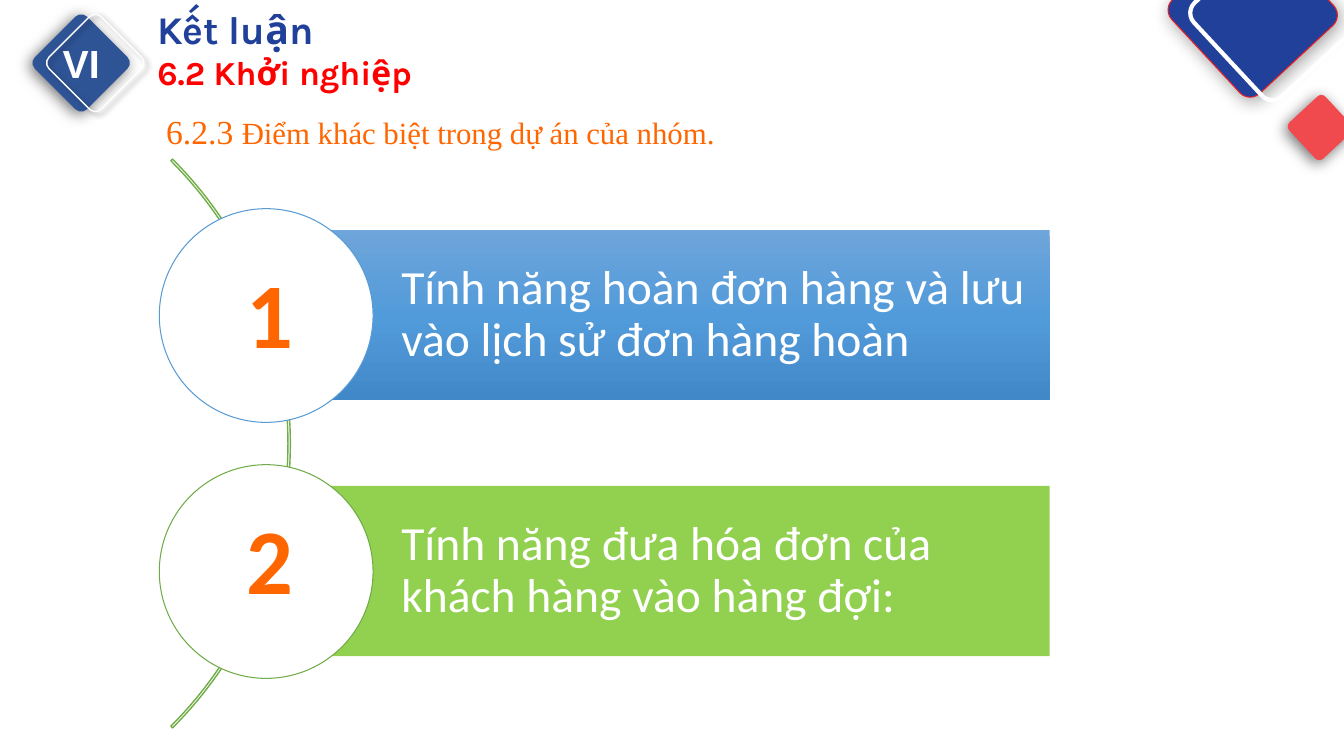
"""Build the slide on what sets the group's project apart."""
from copy import deepcopy
from dataclasses import dataclass

from lxml.etree import SubElement
from pptx import Presentation
from pptx.dml.color import RGBColor
from pptx.enum.shapes import MSO_SHAPE
from pptx.enum.text import MSO_ANCHOR, MSO_AUTO_SIZE, PP_ALIGN
from pptx.oxml.ns import qn
from pptx.util import Inches, Pt


@dataclass(frozen=True)
class Theme:
    """Colours, fonts and type sizes of the slide."""
    navy: str = "21409A"
    badge: str = "2F5496"
    red: str = "FF0000"
    coral: str = "F04A4E"
    outline_red: str = "ED1D24"
    orange: str = "FF6600"
    white: str = "FFFFFF"
    black: str = "000000"
    arc: str = "70AD47"
    blue_ring: str = "599BD5"
    green_ring: str = "6FAB46"
    blues: tuple = ("6EA5DA", "529BDA", "4188C8")
    green: tuple = ("92D050",)
    title_font: str = "Karla"
    badge_font: str = "Arial"
    sub_font: str = "Times New Roman"
    card_font: str = "Calibri"
    title_size: int = 28
    section_size: int = 24
    sub_size: int = 22
    card_size: int = 34
    number_size: int = 66


T = Theme()


def rgb(color):
    """Return a colour object for a hex string."""
    return RGBColor.from_string(color)


def add_run(p, text, font, size, color, bold=False):
    """Add one formatted run to a paragraph."""
    r = p.add_run()
    r.text = text
    r.font.name, r.font.size, r.font.bold = font, Pt(size), bold
    r.font.color.rgb = rgb(color)


def add_text(slide, box, runs, align=PP_ALIGN.LEFT):
    """Add a wrapping text box with one paragraph of runs."""
    tf = slide.shapes.add_textbox(*map(Inches, box)).text_frame
    tf.word_wrap = True
    tf.auto_size = MSO_AUTO_SIZE.SHAPE_TO_FIT_TEXT
    p = tf.paragraphs[0]
    p.alignment = align
    for run in runs:
        add_run(p, *run)


def set_fill(sp, colors):
    """Fill a shape with nothing, one colour or an even vertical gradient."""
    if not colors:
        sp.fill.background()
    elif len(colors) == 1:
        sp.fill.solid()
        sp.fill.fore_color.rgb = rgb(colors[0])
    else:
        sp.fill.gradient()
        sp.fill.gradient_angle = 270
        stops = sp._element.spPr.find(".//" + qn("a:gsLst"))
        while len(stops) < len(colors):
            stops.append(deepcopy(stops[0]))
        for i, (stop, color) in enumerate(zip(sp.fill.gradient_stops, colors)):
            stop.position = i / (len(colors) - 1)
            stop.color.rgb = rgb(color)


def add_shape(slide, kind, box, colors=(), line=None, width=0.75):
    """Add a flat preset shape."""
    sp = slide.shapes.add_shape(kind, *map(Inches, box))
    sp.shadow.inherit = False
    set_fill(sp, colors)
    if line:
        sp.line.color.rgb = rgb(line)
        sp.line.width = Pt(width)
    else:
        sp.line.fill.background()
    return sp


def add_shadow(sp, alpha, blur, dist, angle):
    """Give a shape a soft outer shadow."""
    effects = sp._element.spPr.find(qn("a:effectLst"))
    shadow = SubElement(effects, qn("a:outerShdw"), blurRad=str(Pt(blur)),
                        dist=str(Pt(dist)), dir=str(angle * 60000),
                        algn="ctr", rotWithShape="0")
    color = SubElement(shadow, qn("a:srgbClr"), val=T.black)
    SubElement(color, qn("a:alpha"), val=str(alpha * 1000))


def add_diamond(slide, left, top, size, angle, colors=(), line=None,
                width=0.75, shadow=None):
    """Add a turned square with rounded corners."""
    sp = add_shape(slide, MSO_SHAPE.ROUNDED_RECTANGLE, (left, top, size, size),
                   colors, line, width)
    sp.adjustments[0] = 0.11
    sp.rotation = angle
    if shadow:
        add_shadow(sp, *shadow)


def add_title(slide):
    """Place the chapter and section names in the title placeholder."""
    title = slide.shapes.title
    title.left, title.top = Inches(1.46), Inches(0)
    title.width, title.height = Inches(7.45), Inches(0.98)
    tf = title.text_frame
    tf.vertical_anchor = MSO_ANCHOR.TOP
    tf.auto_size = MSO_AUTO_SIZE.NONE
    lines = (("Kết luận", T.title_size, T.navy),
             ("6.2 Khởi nghiệp", T.section_size, T.red))
    for i, (text, size, color) in enumerate(lines):
        p = tf.add_paragraph() if i else tf.paragraphs[0]
        p.alignment = PP_ALIGN.LEFT
        p.line_spacing = 1.0
        add_run(p, text, T.title_font, size, color, True)


def add_card(slide, top, text, colors, ring):
    """Add a text bar with a circle over its left end."""
    sp = add_shape(slide, MSO_SHAPE.RECTANGLE, (2.64, top, 7.77, 1.69), colors)
    tf = sp.text_frame
    tf.word_wrap = True
    tf.vertical_anchor = MSO_ANCHOR.MIDDLE
    tf.margin_left = Inches(1.34)
    tf.margin_top = tf.margin_right = tf.margin_bottom = Inches(0.09)
    p = tf.paragraphs[0]
    p.alignment = PP_ALIGN.LEFT
    p.line_spacing = 0.9
    add_run(p, text, T.card_font, T.card_size, T.white)
    add_shape(slide, MSO_SHAPE.OVAL, (1.58, top - 0.21, 2.12, 2.12),
              (T.white,), ring)


def main():
    """Build and save the slide."""
    prs = Presentation()
    prs.slide_width, prs.slide_height = Inches(13.33), Inches(7.5)
    slide = prs.slides.add_slide(prs.slide_layouts[5])
    add_title(slide)

    add_diamond(slide, 11.79, -0.51, 1.27, 47.1, (T.navy,), T.outline_red,
                shadow=(36, 13, 3, 55))
    add_diamond(slide, 12.85, 1.02, 0.49, 47.1, (T.coral,),
                shadow=(54, 11, 3, 135))
    add_diamond(slide, 12.01, -0.48, 1.27, 47.1, line=T.white, width=3)

    add_diamond(slide, 0.44, 0.26, 0.73, 45, (T.badge,),
                shadow=(54, 11, 3, 135))
    add_text(slide, (0.43, 0.34, 0.75, 0.57),
             [("VI", T.badge_font, T.title_size, T.white, True)],
             PP_ALIGN.CENTER)
    add_diamond(slide, 0.58, 0.26, 0.73, 45, line=T.white, width=1,
                shadow=(40, 4, 3, 45))

    add_text(slide, (1.55, 1.05, 5.7, 0.5), [
        ("6.2.3 ", T.sub_font, T.section_size, T.orange),
        ("Điểm khác biệt trong dự án của nhóm.", T.sub_font, T.sub_size,
         T.orange)])

    arc = add_shape(slide, MSO_SHAPE.BLOCK_ARC, (-5.1, 0.41, 7.98, 7.98),
                    line=T.arc, width=1)
    for i, value in enumerate((189, 27, 0.003)):
        arc.adjustments[i] = value

    cards = (("Tính năng hoàn đơn hàng và lưu vào lịch sử đơn hàng hoàn",
              T.blues, T.blue_ring),
             ("Tính năng đưa hóa đơn của khách hàng vào hàng đợi:",
              T.green, T.green_ring))
    for i, card in enumerate(cards):
        add_card(slide, 2.28 + 2.54 * i, *card)
        add_text(slide, (2.35, 2.49 + 2.44 * i, 0.67, 1.21),
                 [(str(i + 1), T.card_font, T.number_size, T.orange, True)])

    prs.save("out.pptx")


if __name__ == "__main__":
    main()
